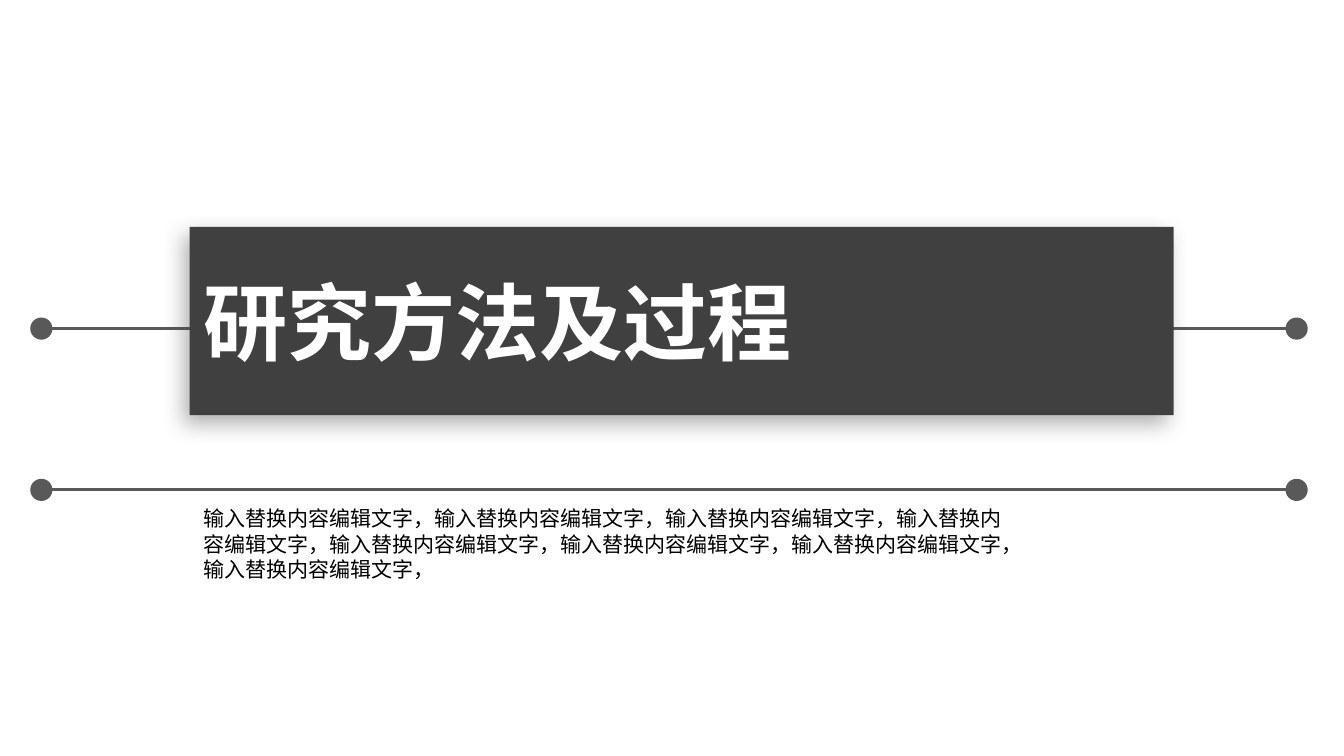
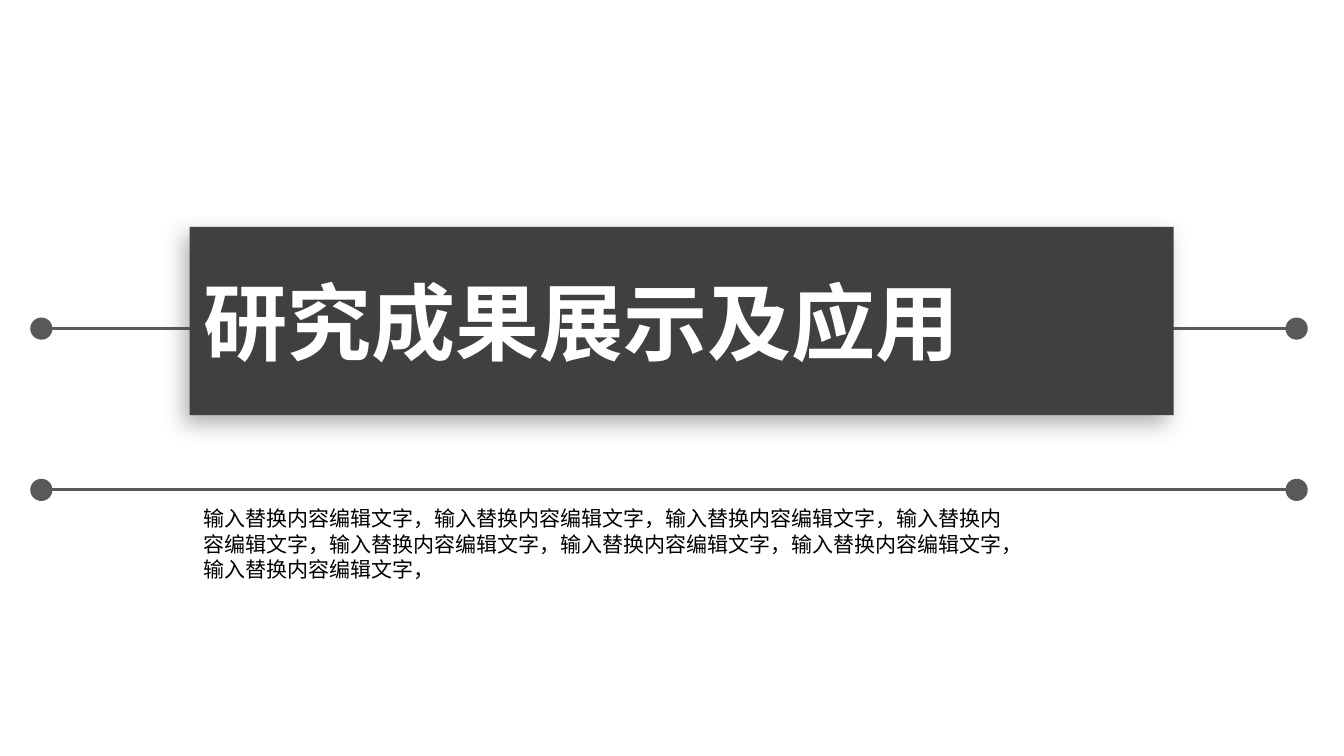
import pptx
import pptx.dml.color
import pptx.enum.shapes
import pptx.enum.text
import pptx.oxml
import pptx.oxml.ns
import pptx.util
from lxml import etree

Inches = pptx.util.Inches
Pt = pptx.util.Pt
qn = pptx.oxml.ns.qn

TITLES = ["研究方法及过程", "研究成果展示及应用"]
DESCRIPTION = "输入替换内容编辑文字，" * 8

FONT = "Noto Sans CJK SC"
COLORS = {"rail": "595959", "band": "404040", "title": "FFFFFF", "body": "000000"}

RAIL_LEFT, RAIL_RIGHT = 0.52, 12.75
RAIL_HEIGHTS = [3.26, 4.86]
DOT = 0.22
BAND = (1.88, 2.25, 9.76, 1.87)
TITLE_BOX = (1.92, 2.63, 9.6, 1.11)
BODY_BOX = (1.92, 4.97, 8.25, 0.86)

SHADOW = (
    f'<a:effectLst {pptx.oxml.ns.nsdecls("a")}>'
    f'<a:outerShdw blurRad="{Pt(15)}" dist="{Pt(7)}" dir="{135 * 60000}" rotWithShape="0">'
    f'<a:srgbClr val="{COLORS["band"]}"><a:alpha val="40000"/></a:srgbClr>'
    "</a:outerShdw></a:effectLst>"
)


def color(name):
    return pptx.dml.color.RGBColor.from_string(COLORS[name])


def add_filled(slide, kind, box, color_name):
    shape = slide.shapes.add_shape(kind, *map(Inches, box))
    shape.fill.solid()
    shape.fill.fore_color.rgb = color(color_name)
    shape.line.fill.background()
    shape.shadow.inherit = False
    return shape


def add_rail(slide, y):
    rail = slide.shapes.add_connector(
        pptx.enum.shapes.MSO_CONNECTOR.STRAIGHT,
        Inches(RAIL_LEFT), Inches(y), Inches(RAIL_RIGHT), Inches(y),
    )
    rail.line.color.rgb = color("rail")
    rail.line.width = Pt(2.25)
    etree.SubElement(rail._element.spPr, qn("a:effectLst"))
    for x in (RAIL_LEFT - DOT, RAIL_RIGHT):
        add_filled(slide, pptx.enum.shapes.MSO_SHAPE.OVAL, (x, y - DOT / 2, DOT, DOT), "rail")


def add_band(slide):
    band = add_filled(slide, pptx.enum.shapes.MSO_SHAPE.RECTANGLE, BAND, "band")
    properties = band._element.spPr
    properties.replace(properties.find(qn("a:effectLst")), pptx.oxml.parse_xml(SHADOW))


def add_text(slide, box, text, size, color_name, bold=False):
    frame = slide.shapes.add_textbox(*map(Inches, box)).text_frame
    frame.word_wrap = True
    frame.auto_size = pptx.enum.text.MSO_AUTO_SIZE.SHAPE_TO_FIT_TEXT
    paragraph = frame.paragraphs[0]
    paragraph.text = text
    font = paragraph.font
    font.name = FONT
    font.size = Pt(size)
    font.bold = bold
    font.color.rgb = color(color_name)
    etree.SubElement(font._element, qn("a:ea"), typeface=FONT)


def build_section(presentation, title):
    slide = presentation.slides.add_slide(presentation.slide_layouts[6])
    for y in RAIL_HEIGHTS:
        add_rail(slide, y)
    add_text(slide, BODY_BOX, DESCRIPTION, 15, "body")
    add_band(slide)
    add_text(slide, TITLE_BOX, title, 60, "title", bold=True)


def main():
    presentation = pptx.Presentation()
    presentation.slide_width = Inches(13.33)
    presentation.slide_height = Inches(7.5)
    for title in TITLES:
        build_section(presentation, title)
    presentation.save("out.pptx")


if __name__ == "__main__":
    main()
